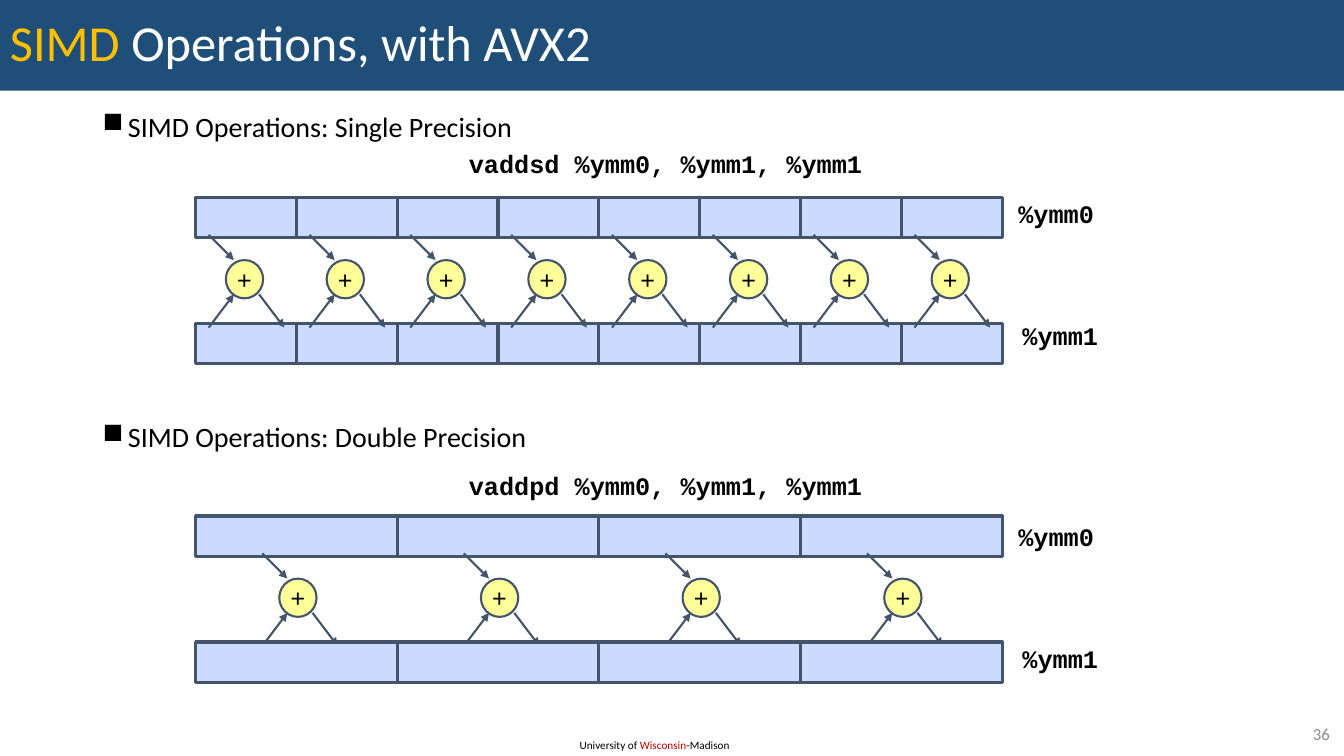
from dataclasses import dataclass

from lxml import etree
from pptx import Presentation
from pptx.dml.color import RGBColor
from pptx.enum.shapes import MSO_CONNECTOR, MSO_SHAPE
from pptx.enum.text import MSO_ANCHOR, PP_ALIGN
from pptx.oxml.ns import qn
from pptx.shapes.autoshape import Shape
from pptx.shapes.shapetree import GroupShapes
from pptx.text.text import TextFrame
from pptx.util import Inches, Pt

RECT, OVAL = MSO_SHAPE.RECTANGLE, MSO_SHAPE.OVAL
STRAIGHT = MSO_CONNECTOR.STRAIGHT
MIDDLE = MSO_ANCHOR.MIDDLE
LEFT, CENTER, RIGHT = PP_ALIGN.LEFT, PP_ALIGN.CENTER, PP_ALIGN.RIGHT

BLACK = RGBColor(0x00, 0x00, 0x00)
WHITE = RGBColor(0xFF, 0xFF, 0xFF)
NAVY = RGBColor(0x1F, 0x4E, 0x79)
GOLD = RGBColor(0xFF, 0xC0, 0x00)
RED = RGBColor(0xC0, 0x00, 0x00)
GRAY = RGBColor(0x8C, 0x8C, 0x8C)
SLATE = RGBColor(0x44, 0x54, 0x6A)
LANE_BLUE = RGBColor(0xCB, 0xDB, 0xFF)
ADDER_YELLOW = RGBColor(0xFF, 0xFF, 0x99)

TITLE_FONT = {"name": "Calibri", "size": Pt(36)}
BULLET_FONT = {"name": "Calibri", "size": Pt(20)}
FOOTER_FONT = {"name": "Calibri", "size": Pt(8)}
NUMBER_FONT = {"name": "Calibri", "size": Pt(12)}
ADDER_FONT = {"name": "Courier New", "size": Pt(18)}
CODE_FONT = ADDER_FONT | {"bold": True}
TIGHT_MARGINS = {f"margin_{side}": Inches(0.05) for side in ("left", "top", "right", "bottom")}

REGISTER_LEFT, REGISTER_WIDTH = 1.94, 8
LANE_HEIGHT = 0.4
REGISTER_GAP = 1.25
ADDER_WIDTH, ADDER_HEIGHT, ADDER_DROP = 0.37, 0.38, 0.62
# Arrow ends relative to the adder's left edge and the first register's top
ARROWS = (
    ((-0.17, 0.37), (0.08, 0.62)),
    ((-0.17, 1.29), (0.08, 0.96)),
    ((0.33, 0.96), (0.58, 1.29)),
)


@dataclass(frozen=True)
class Operation:
    instruction: str
    lanes: int
    top: float
    label_top: float
    adder_offset: float
    result_in_front: bool


OPERATIONS = (
    Operation("vaddpd %ymm0, %ymm1, %ymm1", 4, 5.12, 5.12, 0.83, True),
    Operation("vaddsd %ymm0, %ymm1, %ymm1", 8, 1.96, 1.92, 0.3, False),
)


def write(frame: TextFrame, runs: list[tuple[str, RGBColor]], font: dict,
          align: PP_ALIGN = LEFT) -> None:
    paragraph = frame.paragraphs[0]
    paragraph.alignment = align
    for text, color in runs:
        run = paragraph.add_run()
        run.text = text
        run.font.color.rgb = color
        for key, value in font.items():
            setattr(run.font, key, value)


def set_frame(frame: TextFrame, **settings: object) -> None:
    for key, value in settings.items():
        setattr(frame, key, value)


def add_text_box(shapes: GroupShapes, left: float, top: float, width: float,
                 height: float) -> TextFrame:
    box = shapes.add_textbox(Inches(left), Inches(top), Inches(width), Inches(height))
    return box.text_frame


def add_filled(shapes: GroupShapes, kind: MSO_SHAPE, left: float, top: float, width: float,
               height: float, fill: RGBColor, line_width: float = 0) -> Shape:
    """Add a flat shape, outlined in slate when it has a line width."""
    shape = shapes.add_shape(kind, Inches(left), Inches(top), Inches(width), Inches(height))
    shape.shadow.inherit = False
    shape.fill.solid()
    shape.fill.fore_color.rgb = fill
    if line_width:
        shape.line.color.rgb = SLATE
        shape.line.width = Pt(line_width)
    else:
        shape.line.fill.background()
    return shape


def add_arrow(shapes: GroupShapes, start: tuple[float, float], end: tuple[float, float]) -> None:
    arrow = shapes.add_connector(STRAIGHT, *map(Inches, start + end))
    arrow.line.color.rgb = SLATE
    arrow.line.width = Pt(1.5)
    etree.SubElement(arrow.line._get_or_add_ln(), qn("a:tailEnd"), type="triangle")
    etree.SubElement(arrow._element.spPr, qn("a:effectLst"))


def add_register(shapes: GroupShapes, top: float, lanes: int) -> None:
    width = REGISTER_WIDTH / lanes
    for lane in range(lanes):
        add_filled(shapes, RECT, REGISTER_LEFT + lane * width, top, width, LANE_HEIGHT,
                   LANE_BLUE, 2.25)


def add_adder(shapes: GroupShapes, left: float, register_top: float) -> None:
    """Add a plus circle with its two operand arrows and its result arrow."""
    adder = add_filled(shapes, OVAL, left, register_top + ADDER_DROP, ADDER_WIDTH,
                       ADDER_HEIGHT, ADDER_YELLOW, 1.5)
    set_frame(adder.text_frame, word_wrap=False, vertical_anchor=MIDDLE, **TIGHT_MARGINS)
    write(adder.text_frame, [("+", BLACK)], ADDER_FONT, CENTER)
    for (x1, y1), (x2, y2) in ARROWS:
        add_arrow(shapes, (left + x1, register_top + y1), (left + x2, register_top + y2))


def add_code(shapes: GroupShapes, text: str, left: float, top: float, width: float) -> None:
    frame = add_text_box(shapes, left, top, width, 0.4)
    set_frame(frame, word_wrap=False, **TIGHT_MARGINS)
    write(frame, [(text, BLACK)], CODE_FONT)


def add_operation(shapes: GroupShapes, operation: Operation) -> None:
    result_top = operation.top + REGISTER_GAP
    add_register(shapes, operation.top, operation.lanes)
    if not operation.result_in_front:
        add_register(shapes, result_top, operation.lanes)
    for lane in range(operation.lanes):
        lane_left = REGISTER_LEFT + lane * REGISTER_WIDTH / operation.lanes
        add_adder(shapes, lane_left + operation.adder_offset, operation.top)
    add_code(shapes, "%ymm0", 10.05, operation.label_top, 0.85)
    add_code(shapes, "%ymm1", 10.09, operation.label_top + 1.21, 0.85)
    add_code(shapes, operation.instruction, 4.6, operation.label_top - 0.5, 4.02)
    if operation.result_in_front:
        add_register(shapes, result_top, operation.lanes)


def add_headings(shapes: GroupShapes) -> None:
    frame = add_text_box(shapes, 0.42, 1.07, 9.09, 5.88)
    frame.word_wrap = True
    single, double = frame.paragraphs[0], frame.add_paragraph()
    for paragraph, precision in ((single, "Single"), (double, "Double")):
        paragraph.level = 1
        paragraph.line_spacing = 0.9
        properties = paragraph._p.get_or_add_pPr()
        properties.set("marL", str(Inches(0.75)))
        properties.set("indent", str(Inches(-0.25)))
        etree.SubElement(properties, qn("a:buChar"), char="■")
        run = paragraph.add_run()
        run.text = f"SIMD Operations: {precision} Precision"
        run.font.color.rgb = BLACK
        for key, value in BULLET_FONT.items():
            setattr(run.font, key, value)
    double.space_before = Pt(200)


def main() -> None:
    deck = Presentation()
    deck.slide_width, deck.slide_height = Inches(13.33), Inches(7.5)
    shapes = deck.slides.add_slide(deck.slide_layouts[6]).shapes

    footer = add_text_box(shapes, 5.65, 7.28, 1.72, 0.24)
    write(footer, [("University of ", BLACK), ("Wisconsin", RED), ("-Madison", BLACK)],
          FOOTER_FONT)

    title = add_filled(shapes, RECT, 0, 0, 13.33, 0.9, NAVY).text_frame
    set_frame(title, word_wrap=True, vertical_anchor=MIDDLE)
    write(title, [("SIMD", GOLD), (" Operations, with AVX2", WHITE)], TITLE_FONT)
    title.paragraphs[0].line_spacing = 0.9

    number = add_text_box(shapes, 12.53, 7.13, 0.76, 0.29)
    set_frame(number, word_wrap=True, vertical_anchor=MIDDLE)
    write(number, [("36", GRAY)], NUMBER_FONT, RIGHT)

    add_headings(shapes)
    for operation in OPERATIONS:
        add_operation(shapes.add_group_shape().shapes, operation)

    deck.save("out.pptx")


if __name__ == "__main__":
    main()
